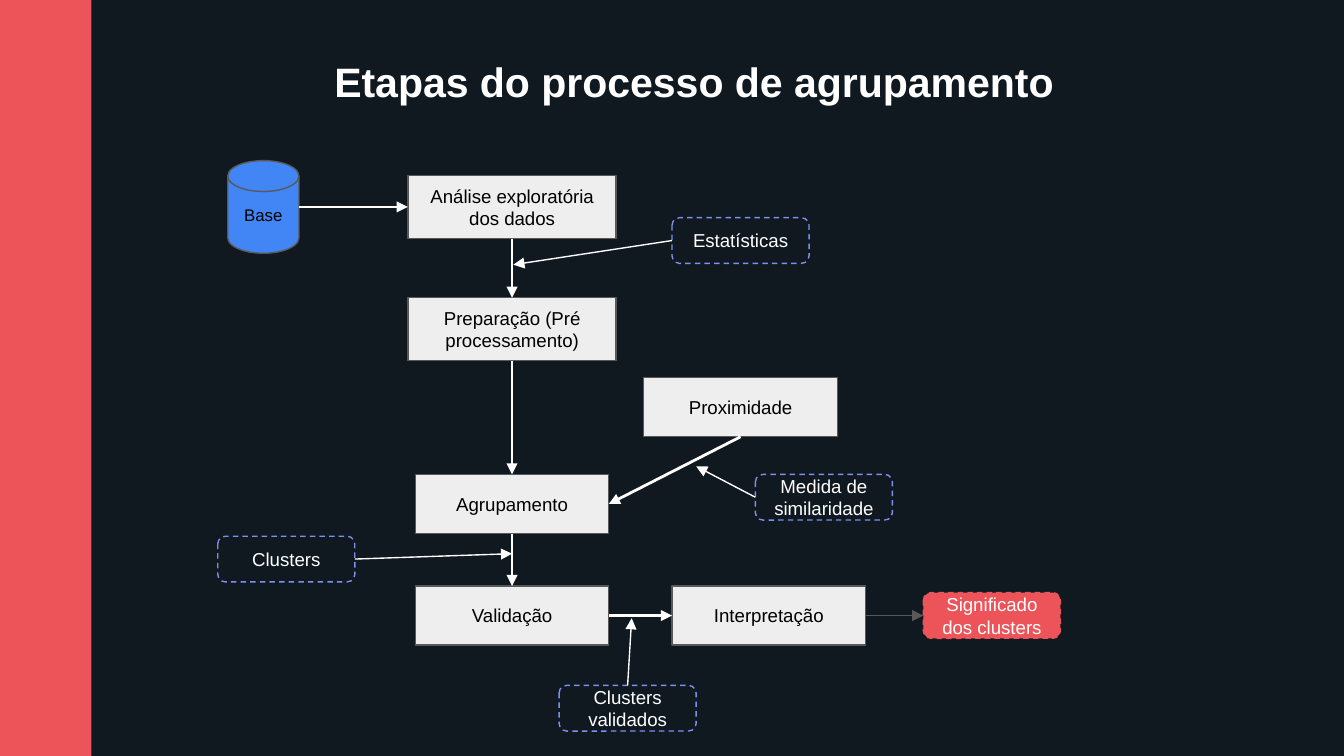
from pptx import Presentation
from pptx.dml.color import RGBColor
from pptx.enum.dml import MSO_LINE
from pptx.enum.shapes import MSO_CONNECTOR, MSO_SHAPE
from pptx.enum.text import MSO_ANCHOR, MSO_AUTO_SIZE, PP_ALIGN
from pptx.oxml.ns import qn
from pptx.util import Inches, Pt
from lxml.etree import SubElement

CORAL, WHITE, BLACK, GRAY = "EC5459", "FFFFFF", "000000", "595959"
PAGE_WIDTH = 10
PAGE_HEIGHT = PAGE_WIDTH * 9 / 16

PROCESS = dict(kind=MSO_SHAPE.RECTANGLE, fill="EEEEEE", line=GRAY, color=BLACK)
WIDE = dict(PROCESS, size=(1.55, 0.47))
STEP = dict(PROCESS, size=(1.44, 0.44))
NOTE = dict(kind=MSO_SHAPE.ROUNDED_RECTANGLE, size=(1.02, 0.34), line="7F8FF1",
            dash=MSO_LINE.DASH, color=WHITE)
RESULT = dict(NOTE, fill=CORAL, line=CORAL)
DISK = dict(kind=MSO_SHAPE.FLOWCHART_MAGNETIC_DISK, size=(0.53, 0.69), fill="4285F4",
            line=GRAY, color=BLACK, font_size=9)

NODES = {
    "Base": (0.34, 0.35, DISK),
    "Análise exploratória dos dados": (2.19, 0.35, WIDE),
    "Preparação (Pré processamento)": (2.19, 1.26, WIDE),
    "Estatísticas": (3.89, 0.6, NOTE),
    "Proximidade": (3.89, 1.84, STEP),
    "Agrupamento": (2.19, 2.56, STEP),
    "Medida de similaridade": (4.51, 2.51, NOTE),
    "Validação": (2.19, 3.39, STEP),
    "Interpretação": (4.1, 3.39, STEP),
    "Clusters": (0.51, 2.97, NOTE),
    "Clusters validados": (3.05, 4.08, NOTE),
    "Significado dos clusters": (5.76, 3.39, RESULT),
}
FLOWS = [
    ("Base", "right", "Análise exploratória dos dados", "left"),
    ("Análise exploratória dos dados", "bottom", "Preparação (Pré processamento)", "top"),
    ("Preparação (Pré processamento)", "bottom", "Agrupamento", "top"),
    ("Proximidade", "bottom", "Agrupamento", "right"),
    ("Agrupamento", "bottom", "Validação", "top"),
    ("Validação", "right", "Interpretação", "left"),
    ("Interpretação", "right", "Significado dos clusters", "left"),
]
NOTE_TARGETS = [
    ("Estatísticas", "left", (2.2, 0.78)),
    ("Medida de similaridade", "left", (3.56, 2.28)),
    ("Clusters", "right", (2.19, 2.93)),
    ("Clusters validados", "top", (3.08, 3.41)),
]
SIDES = {"left": (-0.5, 0), "right": (0.5, 0), "top": (0, -0.5), "bottom": (0, 0.5)}


def rgb(value):
    """Turn a hex string into a colour."""
    return RGBColor.from_string(value)


def write_text(shape, text, font_size=10, color=BLACK, bold=False):
    """Put one centred Arial paragraph in a shape."""
    frame = shape.text_frame
    frame.word_wrap = True
    frame.auto_size = MSO_AUTO_SIZE.NONE
    frame.vertical_anchor = MSO_ANCHOR.MIDDLE
    frame.margin_left = frame.margin_right = Inches(0.1)
    frame.margin_top = frame.margin_bottom = Inches(0.1)
    para = frame.paragraphs[0]
    para.alignment = PP_ALIGN.CENTER
    span = para.add_run()
    span.text = text
    span.font.name = "Arial"
    span.font.size = Pt(font_size)
    span.font.bold = bold
    span.font.color.rgb = rgb(color)


def add_box(page, kind, left, top, width, height, fill=None, line=None, dash=None):
    """Add a preset shape without shadow."""
    box = page.shapes.add_shape(kind, Inches(left), Inches(top), Inches(width), Inches(height))
    box.shadow.inherit = False
    if fill:
        box.fill.solid()
        box.fill.fore_color.rgb = rgb(fill)
    else:
        box.fill.background()
    if line:
        box.line.color.rgb = rgb(line)
        box.line.width = Pt(0.75)
        box.line.dash_style = dash
    else:
        box.line.fill.background()
    return box


def add_arrow(page, start, end, color=WHITE, width=1.5):
    """Add a straight connector with a triangle at its end."""
    arrow = page.shapes.add_connector(MSO_CONNECTOR.STRAIGHT, *map(Inches, start + end))
    arrow.line.color.rgb = rgb(color)
    arrow.line.width = Pt(width)
    properties = arrow.element.spPr
    SubElement(properties.get_or_add_ln(), qn("a:tailEnd"), type="triangle")
    SubElement(properties, qn("a:effectLst"))


def add_node(page, text, x, y, kind, size, color, font_size=10, **style):
    """Add a labelled shape centred on a point."""
    width, height = size
    box = add_box(page, kind, x - width / 2, y - height / 2, width, height, **style)
    write_text(box, text, font_size=font_size, color=color)


def side_point(name, side):
    """Give the middle of one side of a node, relative to the diagram."""
    x, y, style = NODES[name]
    width, height = style["size"]
    across, down = SIDES[side]
    return x + across * width, y + down * height


def add_title(page, text, left, top, width, height):
    """Fill and place the title placeholder."""
    title = page.shapes.title
    title.left, title.top = Inches(left), Inches(top)
    title.width, title.height = Inches(width), Inches(height)
    write_text(title, text, font_size=22, color=WHITE, bold=True)


def add_diagram(page, left, top):
    """Draw the clustering process from its top left corner."""
    def place(point):
        """Move a diagram point onto the page."""
        return left + point[0], top + point[1]

    for text, (x, y, style) in NODES.items():
        add_node(page, text, *place((x, y)), **style)
    for source, exit_side, target, entry_side in FLOWS:
        look = dict(color=GRAY, width=0.75) if NODES[target][2] is RESULT else {}
        add_arrow(page, place(side_point(source, exit_side)),
                  place(side_point(target, entry_side)), **look)
    for note, side, target in NOTE_TARGETS:
        add_arrow(page, place(side_point(note, side)), place(target), width=0.75)


def main():
    """Build and save the deck."""
    deck = Presentation()
    deck.slide_width, deck.slide_height = Inches(PAGE_WIDTH), Inches(PAGE_HEIGHT)
    page = deck.slides.add_slide(deck.slide_layouts[5])
    page.background.fill.solid()
    page.background.fill.fore_color.rgb = rgb("101820")
    add_box(page, MSO_SHAPE.RECTANGLE, -0.09, 0, 0.77, PAGE_HEIGHT, fill=CORAL)
    add_title(page, "Etapas do processo de agrupamento", 0.69, 0.24, 8.95, 0.72)
    add_diagram(page, 1.62, 1.19)
    deck.save("out.pptx")


if __name__ == "__main__":
    main()
